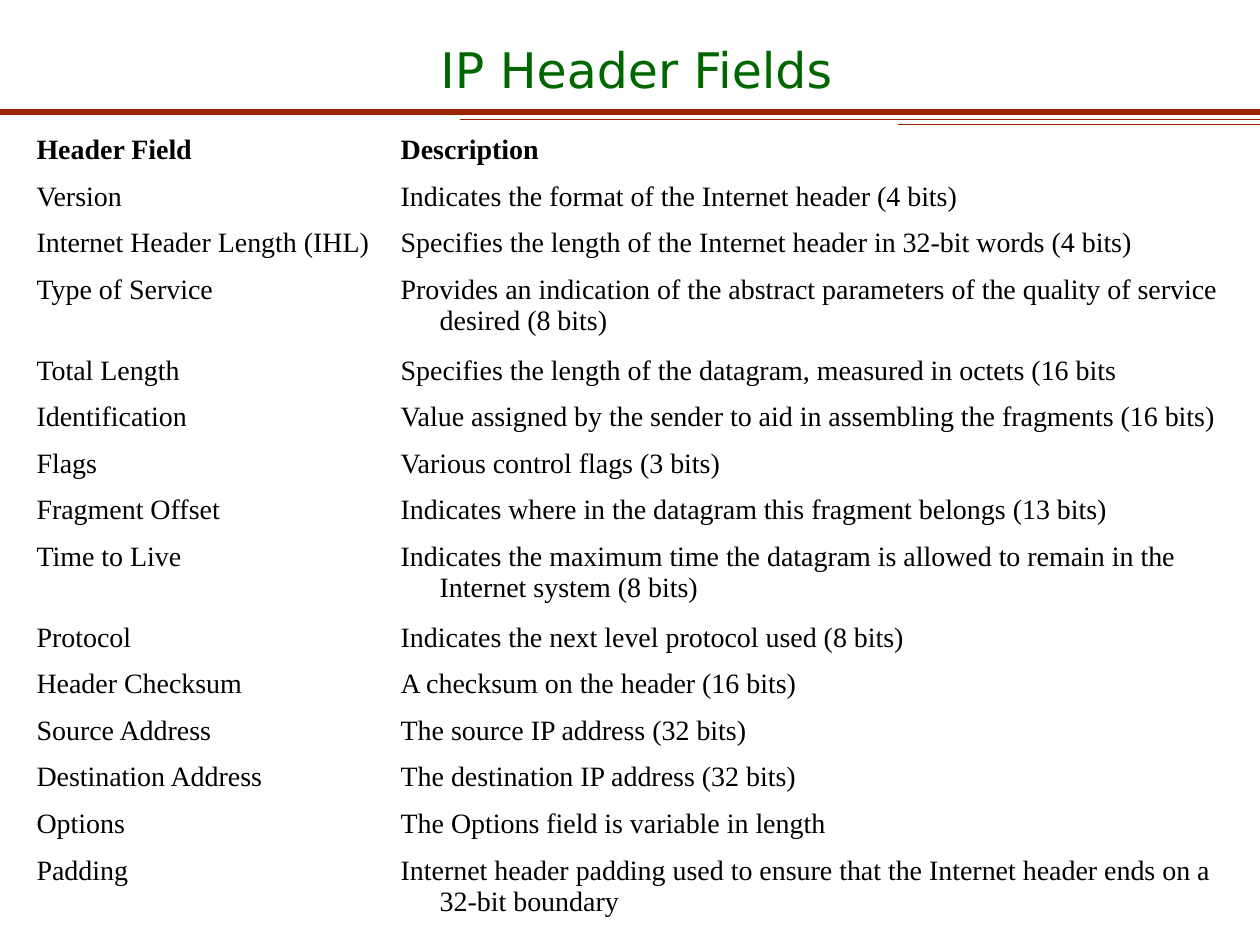
from lxml import etree
from pptx import Presentation
from pptx.dml.color import RGBColor
from pptx.enum.shapes import MSO_CONNECTOR
from pptx.enum.text import MSO_ANCHOR, MSO_AUTO_SIZE, PP_ALIGN
from pptx.oxml.ns import qn
from pptx.util import Inches, Pt

SLIDE_WIDTH = 10
RULES = [(0, 0.89, 3), (3.65, 0.95, 0.75), (7.13, 0.99, 0.75)]  # left, y, weight
COLUMN_WIDTHS = [2.89, 6.92]
ROW_HEIGHT, TALL_ROW_HEIGHT = 0.37, 0.64
LINE_LENGTH = 75  # characters that fit on one line of the description
HANGING_INDENT = 0.31

FIELDS = [
    ("Header Field", "Description"),
    ("Version", "Indicates the format of the Internet header (4 bits)"),
    ("Internet Header Length (IHL)",
     "Specifies the length of the Internet header in 32-bit words (4 bits)"),
    ("Type of Service",
     "Provides an indication of the abstract parameters of the quality of service desired (8 bits)"),
    ("Total Length", "Specifies the length of the datagram, measured in octets (16 bits"),
    ("Identification",
     "Value assigned by the sender to aid in assembling the fragments (16 bits)"),
    ("Flags", "Various control flags (3 bits)"),
    ("Fragment Offset", "Indicates where in the datagram this fragment belongs (13 bits)"),
    ("Time to Live",
     "Indicates the maximum time the datagram is allowed to remain in the Internet system (8 bits)"),
    ("Protocol", "Indicates the next level protocol used (8 bits)"),
    ("Header Checksum", "A checksum on the header (16 bits)"),
    ("Source Address", "The source IP address (32 bits)"),
    ("Destination Address", "The destination IP address (32 bits)"),
    ("Options", "The Options field is variable in length"),
    ("Padding",
     "Internet header padding used to ensure that the Internet header ends on a 32-bit boundary"),
]


def color(hex_value):
    return RGBColor.from_string(hex_value)


def set_font(paragraph, name, size, hex_value, bold=False):
    font = paragraph.font
    font.name, font.size, font.bold = name, Pt(size), bold
    font.color.rgb = color(hex_value)


def add_rule(slide, left, y, weight):
    rule = slide.shapes.add_connector(
        MSO_CONNECTOR.STRAIGHT, Inches(left), Inches(y), Inches(SLIDE_WIDTH), Inches(y))
    rule.line.color.rgb = color("982400")
    rule.line.width = Pt(weight)
    etree.SubElement(rule._element.spPr, qn("a:effectLst"))


def set_title(slide, text):
    title = slide.shapes.title
    title.left, title.top = Inches(0), Inches(0.25)
    title.width, title.height = Inches(SLIDE_WIDTH), Inches(0.58)
    frame = title.text_frame
    frame.text = text
    frame.auto_size = MSO_AUTO_SIZE.NONE
    frame.vertical_anchor = MSO_ANCHOR.BOTTOM
    frame.margin_left = Inches(0.2)
    heading = frame.paragraphs[0]
    heading.alignment = PP_ALIGN.CENTER
    set_font(heading, "DejaVu Sans", 28, "006600")


def fill_cell(cell, text, bold):
    cell.text = text
    cell.fill.background()
    paragraph = cell.text_frame.paragraphs[0]
    properties = paragraph._p.get_or_add_pPr()
    properties.set("marL", str(Inches(HANGING_INDENT)))
    properties.set("indent", str(-Inches(HANGING_INDENT)))
    set_font(paragraph, "Times New Roman", 16, "000000", bold)


def add_field_table(slide):
    heights = [TALL_ROW_HEIGHT if len(description) > LINE_LENGTH else ROW_HEIGHT
               for _, description in FIELDS]
    table = slide.shapes.add_table(
        len(FIELDS), len(COLUMN_WIDTHS), Inches(0.19), Inches(1.02),
        Inches(sum(COLUMN_WIDTHS)), Inches(sum(heights))).table
    table.horz_banding = table.first_row = False
    for column, width in zip(table.columns, COLUMN_WIDTHS):
        column.width = Inches(width)
    for index, (row, height, texts) in enumerate(zip(table.rows, heights, FIELDS)):
        row.height = Inches(height)
        for cell, text in zip(row.cells, texts):
            fill_cell(cell, text, bold=index == 0)


def main():
    presentation = Presentation()
    presentation.slide_width = Inches(SLIDE_WIDTH)
    presentation.slide_height = Inches(7.5)
    slide = presentation.slides.add_slide(presentation.slide_layouts[5])
    for rule in RULES:
        add_rule(slide, *rule)
    set_title(slide, "IP Header Fields")
    add_field_table(slide)
    presentation.save("out.pptx")


if __name__ == "__main__":
    main()
